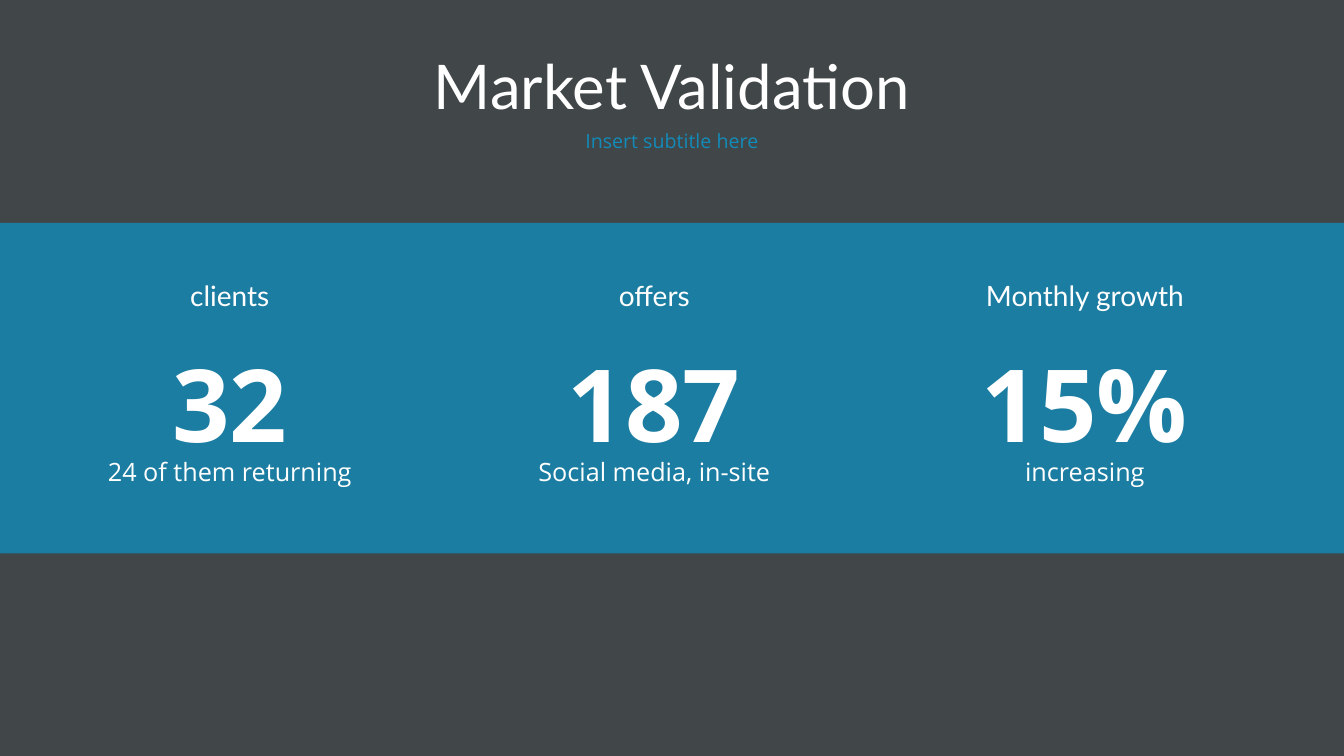
from lxml.etree import SubElement
from pptx import Presentation
from pptx.dml.color import RGBColor
from pptx.enum.shapes import MSO_SHAPE
from pptx.enum.text import MSO_ANCHOR, PP_ALIGN
from pptx.oxml.ns import qn
from pptx.util import Inches, Pt

COLORS = {"backdrop": "181E20", "accent": "138BB9", "text": "FFFFFF"}
HEADING_FONT, BODY_FONT = "Lato", "Open Sans"
SLIDE_WIDTH, SLIDE_HEIGHT = 13.33, 7.5
COLUMN_WIDTH = 2.94

# Column centre, label, label width, figure, detail
METRICS = [
    (2.28, "clients", 3.33, "32", "24 of them returning"),
    (6.49, "offers", 3.33, "187", "Social media, in-site"),
    (10.76, "Monthly growth", 3.91, "15%", "increasing"),
]


class SlideBuilder:
    def __init__(self, slide):
        self.slide = slide

    def band(self, top, height, color, opacity):
        """Draw a full-width translucent rectangle; opacity is in percent."""
        band = self.slide.shapes.add_shape(
            MSO_SHAPE.RECTANGLE, 0, Inches(top), Inches(SLIDE_WIDTH), Inches(height))
        band.shadow.inherit = False
        band.line.fill.background()
        band.fill.solid()
        band.fill.fore_color.rgb = RGBColor.from_string(COLORS[color])
        fill_color = band.fill._xPr.find(qn("a:solidFill"))[0]
        SubElement(fill_color, qn("a:alpha")).set("val", str(opacity * 1000))

    def text(self, center, top, width, height, words, size, font=BODY_FONT, color="text",
             bold=False, spacing=1.0, before=0, anchor=MSO_ANCHOR.TOP):
        """Add one centred line of text around a horizontal centre."""
        box = self.slide.shapes.add_textbox(
            Inches(center - width / 2), Inches(top), Inches(width), Inches(height))
        frame = box.text_frame
        frame.text = words
        frame.word_wrap = True
        frame.vertical_anchor = anchor
        paragraph = frame.paragraphs[0]
        paragraph.alignment = PP_ALIGN.CENTER
        paragraph.line_spacing = spacing
        paragraph.space_before = Pt(before)
        style = paragraph.runs[0].font
        style.name = font
        style.size = Pt(size)
        style.bold = bold
        style.color.rgb = RGBColor.from_string(COLORS[color])

    def metric(self, center, label, label_width, figure, detail):
        self.text(center, 2.67, label_width, 0.51, label, 20, HEADING_FONT,
                  anchor=MSO_ANCHOR.MIDDLE)
        self.text(center, 2.74, COLUMN_WIDTH, 1.72, figure, 72, bold=True, spacing=1.5)
        self.text(center, 4.33, COLUMN_WIDTH, 0.56, detail, 18, spacing=1.5)


def main():
    presentation = Presentation()
    presentation.slide_width = Inches(SLIDE_WIDTH)
    presentation.slide_height = Inches(SLIDE_HEIGHT)
    builder = SlideBuilder(presentation.slides.add_slide(presentation.slide_layouts[6]))

    builder.band(0, SLIDE_HEIGHT, "backdrop", 82)
    middle = SLIDE_WIDTH / 2
    builder.text(middle, 0.4, 11.5, 0.98, "Market Validation", 44, HEADING_FONT,
                 spacing=0.9, anchor=MSO_ANCHOR.MIDDLE)
    builder.text(middle, 1.26, 11.5, 0.4, "Insert subtitle here", 14, color="accent",
                 spacing=0.9, before=10)
    builder.band(2.21, 3.28, "accent", 80)
    for metric in METRICS:
        builder.metric(*metric)

    presentation.save("out.pptx")


if __name__ == "__main__":
    main()
